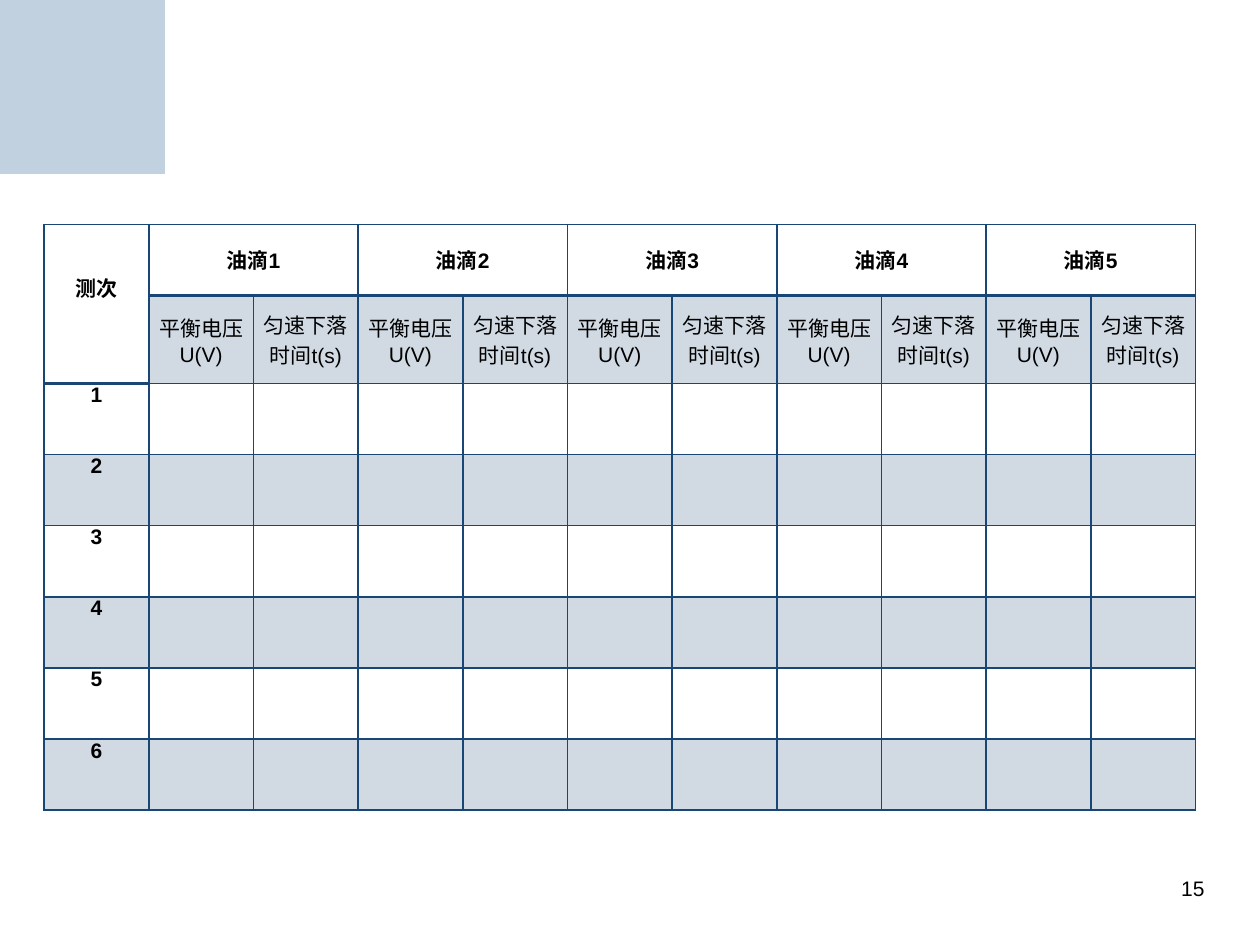
from dataclasses import dataclass

from lxml import etree
from pptx import Presentation
from pptx import util as u
from pptx.dml.color import RGBColor
from pptx.enum import shapes, text
from pptx.oxml.ns import qn

WIDTH, HEIGHT = 10, 7.5
NAVY, BLACK, PALE = "194775", "000000", "C1D1E0"
DROPS, TRIALS = 5, 6
COLS, ROWS = 1 + 2 * DROPS, 2 + TRIALS
LEFT, TOP, TABLE_W, TABLE_H = 0.35, 1.78, 9.14, 4.65
UNITS_ROW_H = 0.7
ROW_H = (TABLE_H - UNITS_ROW_H) / (ROWS - 1)


@dataclass
class Label:
    """Text of one table cell, placed by grid row and column."""
    row: int
    col: int
    words: str
    bold: bool = True
    middle: bool = True
    top: float = 0


def rgb(value: str) -> RGBColor:
    """Turn a hex string into a colour."""
    return RGBColor.from_string(value)


def format_paragraph(p, align, bold: bool = False) -> None:
    """Apply the slide's type style to a paragraph."""
    p.alignment = align
    p.font.name, p.font.size = "Arial", u.Pt(12)
    p.font.bold, p.font.color.rgb = bold, rgb(BLACK)


def style_cell(cell, tinted: bool, top: float, bottom: float) -> None:
    """Give a cell its four borders and its optional translucent fill."""
    tc_pr = cell._tc.get_or_add_tcPr()
    for side, width in zip("LRTB", (1, 1, top, bottom)):
        ln = etree.SubElement(tc_pr, qn(f"a:ln{side}"), w=str(u.Pt(width)))
        fill = etree.SubElement(ln, qn("a:solidFill"))
        etree.SubElement(fill, qn("a:srgbClr"), val=NAVY)
    if tinted:
        cell.fill.solid()
        cell.fill.fore_color.rgb = rgb(NAVY)
        color = tc_pr.find(f"{qn('a:solidFill')}/{qn('a:srgbClr')}")
        etree.SubElement(color, qn("a:alpha"), val="20000")
    else:
        cell.fill.background()


def write_label(table, label: Label) -> None:
    """Write one label into its cell."""
    cell = table.cell(label.row, label.col)
    cell.margin_left = cell.margin_right = u.Inches(0.07)
    cell.margin_top, cell.margin_bottom = u.Inches(label.top), 0
    anchor = text.MSO_ANCHOR
    cell.vertical_anchor = anchor.MIDDLE if label.middle else anchor.TOP
    p = cell.text_frame.paragraphs[0]
    p.text = label.words
    format_paragraph(p, text.PP_ALIGN.CENTER, label.bold)


def table_labels() -> list[Label]:
    """List the headings and trial numbers of the record table."""
    labels = [Label(0, 0, "测次", middle=False, top=0.38)]
    for drop in range(DROPS):
        col = 1 + 2 * drop
        labels += [Label(0, col, f"油滴{drop + 1}"),
                   Label(1, col, "平衡电压U(V)", bold=False),
                   Label(1, col + 1, "匀速下落时间t(s)", bold=False)]
    return labels + [Label(n + 1, 0, str(n), middle=False)
                     for n in range(1, TRIALS + 1)]


def add_record_table(s) -> None:
    """Draw the oil drop record table."""
    table = s.shapes.add_table(ROWS, COLS, *map(
        u.Inches, (LEFT, TOP, TABLE_W, TABLE_H))).table
    table.first_row = table.horz_banding = False
    for column in table.columns:
        column.width = u.Inches(TABLE_W / COLS)
    for row, line in enumerate(table.rows):
        line.height = u.Inches(UNITS_ROW_H if row == 1 else ROW_H)
        for col in range(COLS):
            heading_end = 1 if col == 0 else 0
            style_cell(table.cell(row, col),
                       tinted=row % 2 == 1 and (row, col) != (1, 0),
                       top=2 if row == heading_end + 1 else 1,
                       bottom=2 if row == heading_end or (row, col) == (0, 0) else 1)
    table.cell(0, 0).merge(table.cell(1, 0))
    for col in range(1, COLS, 2):
        table.cell(0, col).merge(table.cell(0, col + 1))
    for label in table_labels():
        write_label(table, label)


def add_corner(s) -> None:
    """Draw the pale block in the top left corner."""
    sp = s.shapes.add_shape(shapes.MSO_SHAPE.RECTANGLE, 0, 0,
                            u.Inches(1.31), u.Inches(1.38))
    sp.shadow.inherit = False
    sp.fill.solid()
    sp.fill.fore_color.rgb = rgb(PALE)
    sp.line.fill.background()


def add_page_number(s, number: str) -> None:
    """Write the page number at the bottom right."""
    tf = s.shapes.add_textbox(*map(u.Inches, (9.09, 6.88, 0.47, 0.27))).text_frame
    tf.word_wrap = True
    tf.margin_left = tf.margin_right = tf.margin_top = tf.margin_bottom = 0
    tf.vertical_anchor = text.MSO_ANCHOR.BOTTOM
    p = tf.paragraphs[0]
    p.text = number
    format_paragraph(p, text.PP_ALIGN.RIGHT)


def main() -> None:
    """Build the slide and save it."""
    prs = Presentation()
    prs.slide_width, prs.slide_height = u.Inches(WIDTH), u.Inches(HEIGHT)
    s = prs.slides.add_slide(prs.slide_layouts[6])
    add_corner(s)
    add_page_number(s, "15")
    add_record_table(s)
    prs.save("out.pptx")


if __name__ == "__main__":
    main()
